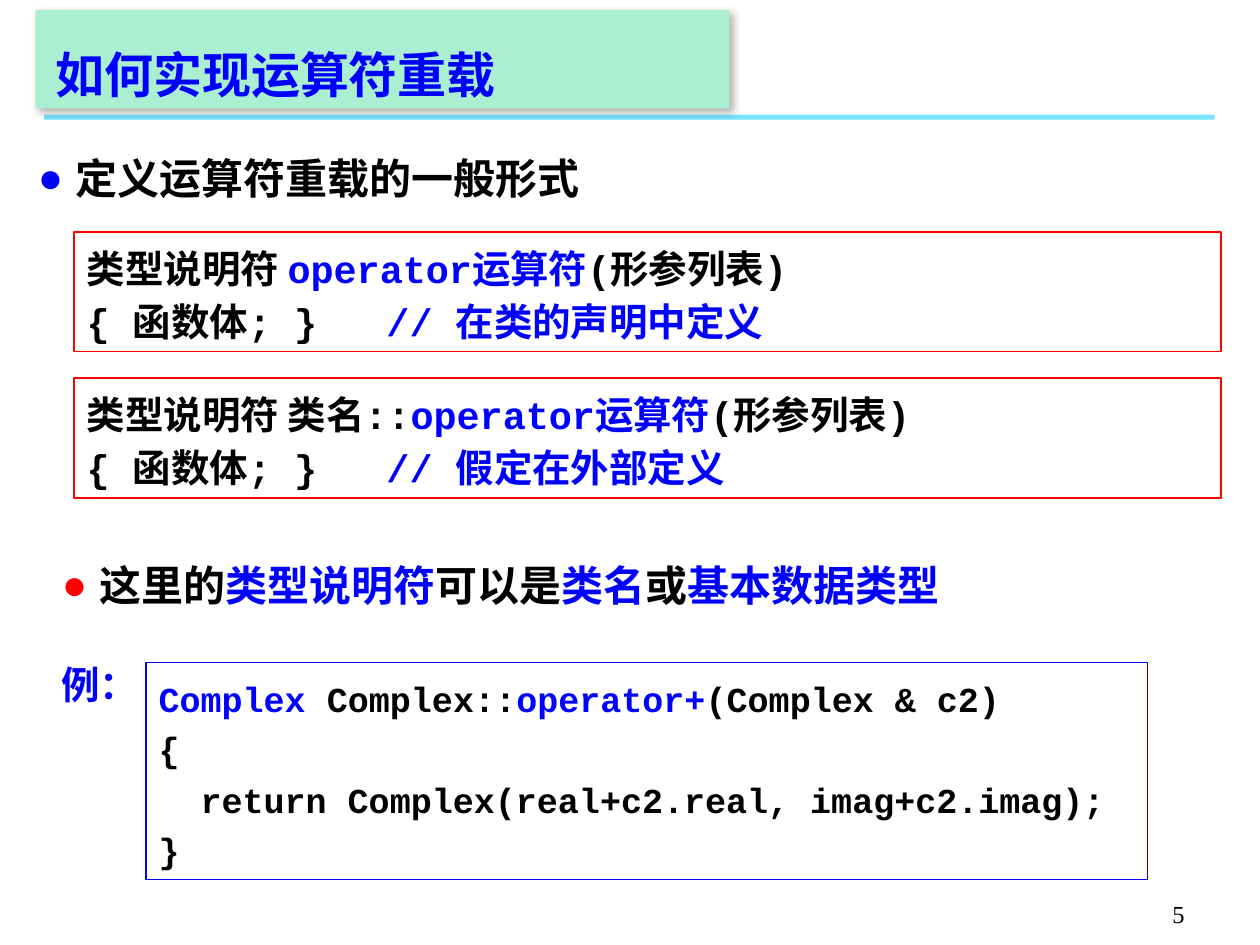
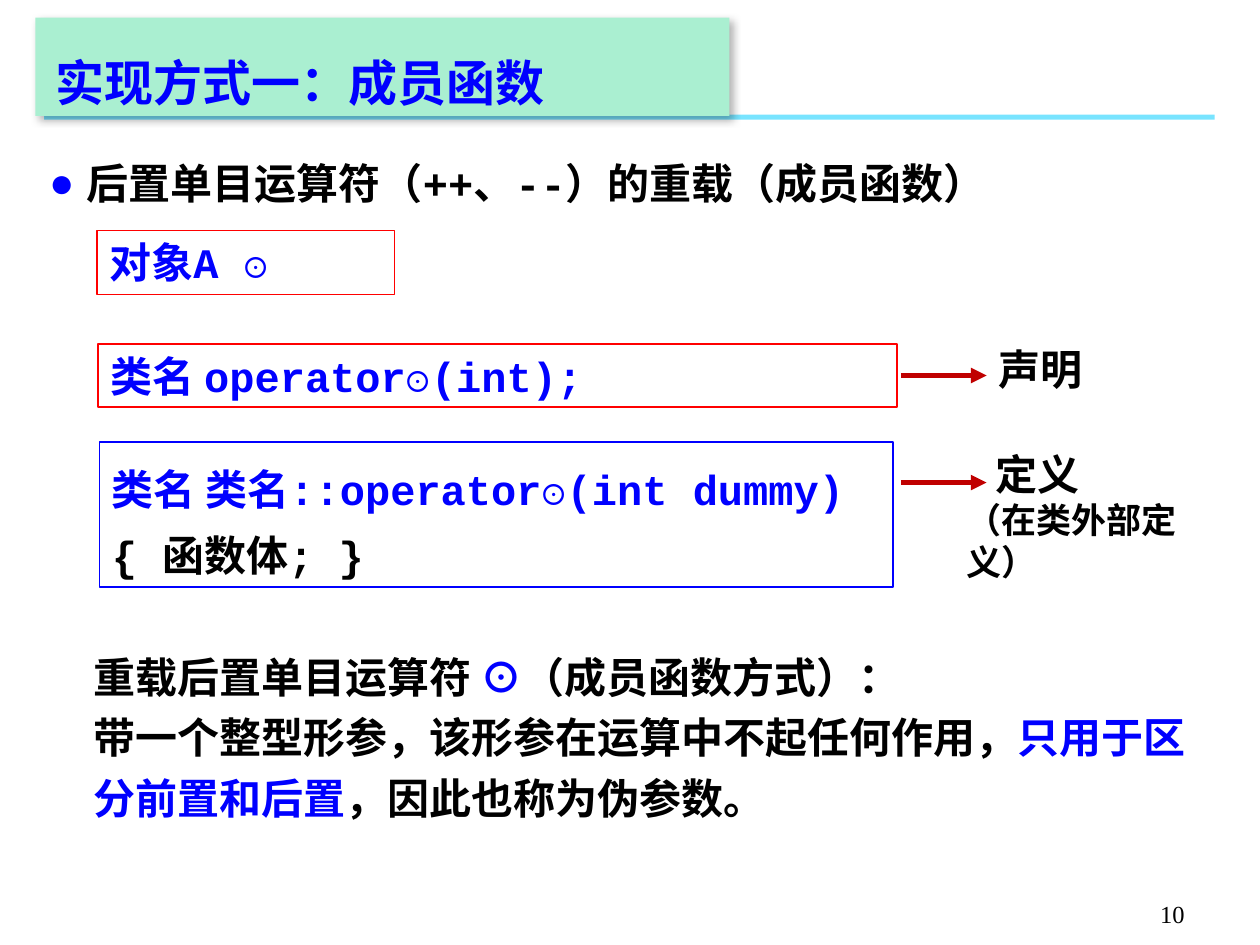
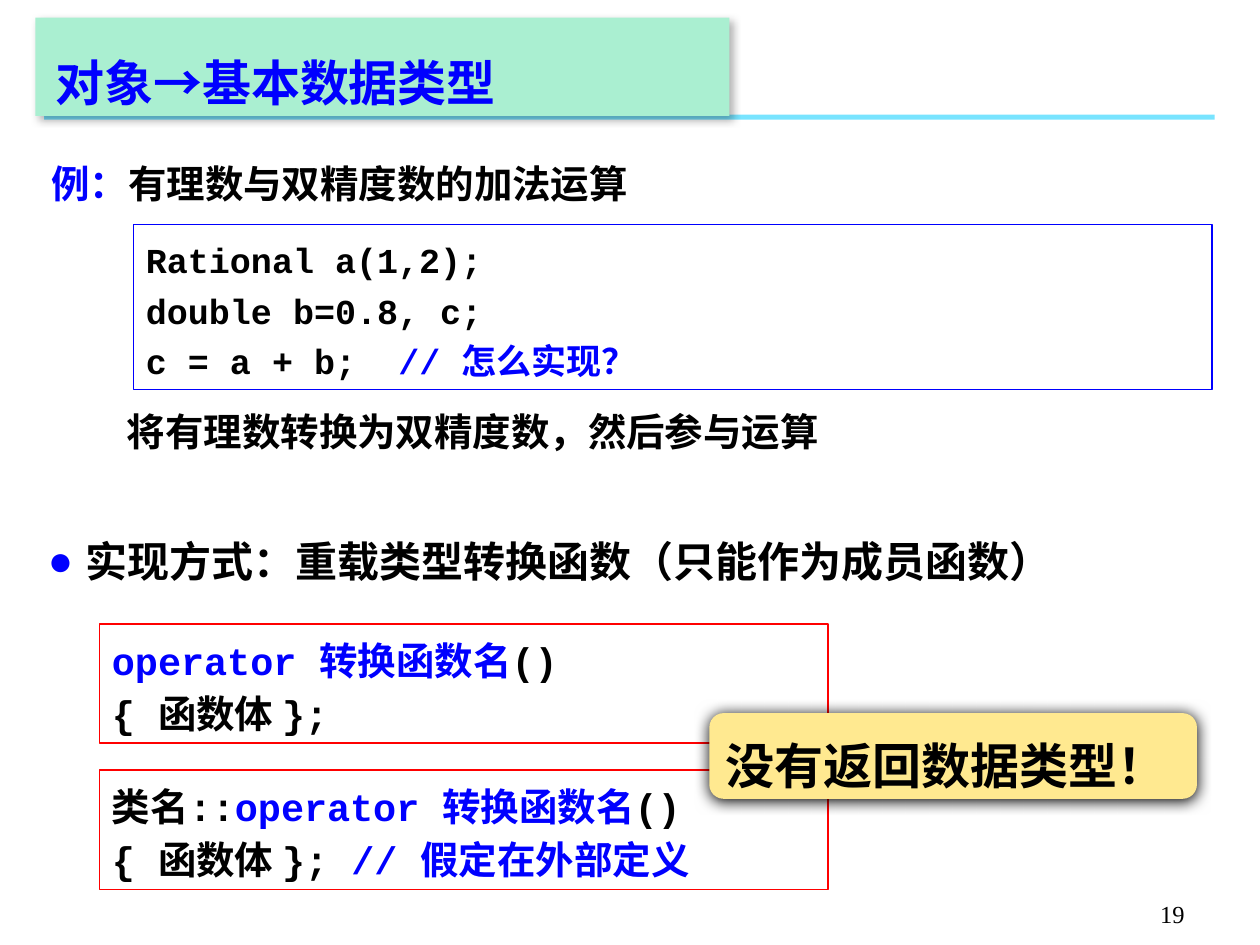
from dataclasses import dataclass
from typing import Optional

from lxml.etree import SubElement
from pptx import Presentation
from pptx.dml.color import RGBColor
from pptx.enum.shapes import MSO_CONNECTOR, MSO_SHAPE
from pptx.enum.text import MSO_ANCHOR, MSO_AUTO_SIZE, PP_ALIGN
from pptx.oxml.ns import qn
from pptx.util import Inches, Pt

COLORS = {
    "black": "000000",
    "blue": "0000FF",
    "red": "FF0000",
    "arrow": "C00000",
    "title_band": "AAEFD1",
    "rule": "00CCFF",
    "callout": "FFE990",
}
BODY_FONT = "Arial"
CODE_FONT = "Courier New"
CHINESE_FONT = "Noto Sans CJK SC"
NUMBER_FONT = "Times New Roman"


@dataclass(frozen=True)
class Area:
    """A rectangle on the slide, in inches."""
    left: float
    top: float
    width: float
    height: float


@dataclass(frozen=True)
class Shadow:
    """An outer shadow: percent, points, points, degrees."""
    opacity: int
    blur: float
    distance: float
    direction: int


@dataclass(frozen=True)
class Line:
    """A paragraph; text between | marks is blue, between ` marks is code."""
    markup: str
    size: int = 22
    font: str = CODE_FONT
    spacing: float = 1.0
    indent: float = 0


@dataclass(frozen=True)
class Panel:
    """Paragraphs in a rectangle, framed when it has a border colour."""
    area: Area
    lines: list[Line]
    border: Optional[str] = None
    border_width: float = 1


@dataclass(frozen=True)
class Bullet:
    """A bulleted heading."""
    area: Area
    markup: str
    color: str = "blue"
    spacing: float = 1.0


def rgb(name: str) -> RGBColor:
    """Return a palette colour."""
    return RGBColor.from_string(COLORS[name])


def place(shape, area: Area) -> None:
    """Move and size a shape."""
    shape.left, shape.top = Inches(area.left), Inches(area.top)
    shape.width, shape.height = Inches(area.width), Inches(area.height)


def add_alpha(fill, percent: int) -> None:
    """Make a solid fill partly transparent."""
    color = fill._xPr.find(qn("a:solidFill"))[0]
    SubElement(color, qn("a:alpha"), val=str(percent * 1000))


def add_shadow(shape, shadow: Shadow) -> None:
    """Give a shape an outer shadow."""
    shape.shadow.inherit = False
    effects = shape.element.spPr.find(qn("a:effectLst"))
    outer = SubElement(
        effects, qn("a:outerShdw"), blurRad=str(Pt(shadow.blur)),
        dist=str(Pt(shadow.distance)), dir=str(shadow.direction * 60000),
        algn="ctr", rotWithShape="0")
    color = SubElement(outer, qn("a:srgbClr"), val=COLORS["black"])
    SubElement(color, qn("a:alpha"), val=str(shadow.opacity * 1000))


def format_run(run, size: int, font: str, color: str, bold: bool = True) -> None:
    """Set the size, fonts, colour and weight of a run."""
    run.font.size, run.font.name, run.font.bold = Pt(size), font, bold
    run.font.color.rgb = rgb(color)
    SubElement(run._r.get_or_add_rPr(), qn("a:ea"), typeface=CHINESE_FONT)


def write_line(paragraph, line: Line) -> None:
    """Write one marked-up line as formatted runs."""
    paragraph.alignment = PP_ALIGN.LEFT
    paragraph.line_spacing = line.spacing
    paragraph.space_before = Pt(0)
    if line.indent:
        paragraph._p.get_or_add_pPr().set("indent", str(Inches(line.indent)))
    for part_index, part in enumerate(line.markup.split("|")):
        for piece_index, piece in enumerate(part.split("`")):
            if piece:
                run = paragraph.add_run()
                run.text = piece
                format_run(run, line.size,
                           CODE_FONT if piece_index % 2 else line.font,
                           "blue" if part_index % 2 else "black")


def write_lines(shape, lines: list[Line]) -> None:
    """Fill a shape with lines, from its top."""
    frame = shape.text_frame
    frame.word_wrap = True
    frame.auto_size = MSO_AUTO_SIZE.NONE
    frame.vertical_anchor = MSO_ANCHOR.TOP
    for index, line in enumerate(lines):
        paragraph = frame.add_paragraph() if index else frame.paragraphs[0]
        write_line(paragraph, line)


def add_panel(slide, panel: Panel) -> None:
    """Draw a framed or plain block of text."""
    area = panel.area
    if panel.border:
        shape = slide.shapes.add_shape(MSO_SHAPE.RECTANGLE, 0, 0, 0, 0)
        shape.shadow.inherit = False
        shape.fill.background()
        shape.line.color.rgb = rgb(panel.border)
        shape.line.width = Pt(panel.border_width)
    else:
        shape = slide.shapes.add_textbox(0, 0, 0, 0)
    place(shape, area)
    write_lines(shape, panel.lines)


def fill_bullet(placeholder, bullet: Bullet) -> None:
    """Turn a body placeholder into a bulleted heading."""
    place(placeholder, bullet.area)
    write_lines(placeholder, [Line(bullet.markup, 24, BODY_FONT, bullet.spacing)])
    properties = placeholder.text_frame.paragraphs[0]._p.get_or_add_pPr()
    hanging = Inches(0.3)
    properties.set("marL", str(hanging))
    properties.set("indent", str(-hanging))
    color = SubElement(properties, qn("a:buClr"))
    SubElement(color, qn("a:srgbClr"), val=COLORS[bullet.color])
    SubElement(properties, qn("a:buFont"), typeface=BODY_FONT)
    SubElement(properties, qn("a:buChar"), char="●")


def format_title(title, text: str, top: float) -> None:
    """Write the title on its green band."""
    place(title, Area(0.28, top, 5.51, 0.78))
    title.fill.solid()
    title.fill.fore_color.rgb = rgb("title_band")
    add_shadow(title, Shadow(30, 4.5, 2.6, 53))
    frame = title.text_frame
    frame.text = text
    frame.word_wrap = False
    frame.auto_size = MSO_AUTO_SIZE.NONE
    frame.vertical_anchor = MSO_ANCHOR.MIDDLE
    frame.margin_left, frame.margin_right = Inches(0.16), Inches(0.1)
    frame.margin_top = frame.margin_bottom = 0
    paragraph = frame.paragraphs[0]
    paragraph.alignment = PP_ALIGN.LEFT
    paragraph.line_spacing = 1.5
    format_run(paragraph.runs[0], 28, CHINESE_FONT, "blue")


def add_page_number(slide, number: int) -> None:
    """Write the page number at the bottom right."""
    shape = slide.shapes.add_textbox(0, 0, 0, 0)
    place(shape, Area(7.42, 6.92, 2.08, 0.5))
    frame = shape.text_frame
    frame.text = str(number)
    frame.word_wrap = True
    frame.vertical_anchor = MSO_ANCHOR.BOTTOM
    paragraph = frame.paragraphs[0]
    paragraph.alignment = PP_ALIGN.RIGHT
    format_run(paragraph.runs[0], 14, NUMBER_FONT, "black", bold=False)


def add_master_rule(presentation, slide) -> None:
    """Draw the rule under the titles and hand it to the slide master."""
    rule = slide.shapes.add_shape(MSO_SHAPE.RECTANGLE, 0, 0, 0, 0)
    place(rule, Area(0.35, 0.91, 9.29, 0.04))
    rule.shadow.inherit = False
    rule.line.fill.background()
    rule.fill.solid()
    rule.fill.fore_color.rgb = rgb("rule")
    add_alpha(rule.fill, 53)
    presentation.slide_master.shapes.element.append(rule.element)


def add_arrow(slide, top: float) -> None:
    """Draw an arrow from a code panel to its label."""
    arrow = slide.shapes.add_connector(
        MSO_CONNECTOR.STRAIGHT, Inches(7.15), Inches(top), Inches(7.83), Inches(top))
    arrow.line.color.rgb = rgb("arrow")
    arrow.line.width = Pt(3)
    SubElement(arrow.line._get_or_add_ln(), qn("a:tailEnd"), type="triangle")
    SubElement(arrow.element.spPr, qn("a:effectLst"))


def add_callout(slide, area: Area, line: Line) -> None:
    """Draw a yellow rounded note."""
    shape = slide.shapes.add_shape(MSO_SHAPE.ROUNDED_RECTANGLE, 0, 0, 0, 0)
    place(shape, area)
    shape.fill.solid()
    shape.fill.fore_color.rgb = rgb("callout")
    shape.line.fill.background()
    add_shadow(shape, Shadow(100, 8.5, 1, 90))
    write_lines(shape, [line])


def add_page(presentation, title: str, number: int, bullets: list[Bullet],
             panels: list[Panel], title_top: float = 0.14):
    """Add a slide with its title, bullets, panels and page number."""
    layout_name = "Two Content" if len(bullets) == 2 else "Title and Content"
    slide = presentation.slides.add_slide(
        presentation.slide_layouts.get_by_name(layout_name))
    format_title(slide.shapes.title, title, title_top)
    for index, bullet in enumerate(bullets, start=1):
        fill_bullet(slide.placeholders[index], bullet)
    for panel in panels:
        add_panel(slide, panel)
    add_page_number(slide, number)
    return slide


def code(*markups: str, size: int = 22, spacing: float = 1.15) -> list[Line]:
    """Return code lines with one size and spacing."""
    return [Line(markup, size, CODE_FONT, spacing) for markup in markups]


def main() -> None:
    """Build the three slides."""
    presentation = Presentation()
    presentation.slide_width, presentation.slide_height = Inches(10), Inches(7.5)

    general_form = add_page(
        presentation, "如何实现运算符重载", 5,
        [Bullet(Area(0.2, 1.16, 9.06, 0.5), "定义运算符重载的一般形式"),
         Bullet(Area(0.39, 4.31, 8.76, 0.59),
                "这里的|类型说明符|可以是|类名|或|基本数据类型|", "red", 1.2)],
        [Panel(Area(0.59, 1.84, 9.1, 0.95),
               code("类型说明符 |operator运算符|(形参列表)",
                    "{ 函数体; }   |// 在类的声明中定义|"), "red"),
         Panel(Area(0.59, 3, 9.1, 0.95),
               code("类型说明符 类名::|operator运算符|(形参列表)",
                    "{ 函数体; }   |// 假定在外部定义|"), "red"),
         Panel(Area(1.16, 5.26, 7.95, 1.72),
               code("|Complex| Complex::|operator+|(Complex & c2)", "{",
                    "  return Complex(real+c2.real, imag+c2.imag);", "}",
                    size=20, spacing=1.2), "blue", 0.75),
         Panel(Area(0.39, 5.2, 0.94, 0.47), [Line("|例：|")])],
        title_top=0.08)
    add_master_rule(presentation, general_form)

    member_function = add_page(
        presentation, "实现方式一：成员函数", 10,
        [Bullet(Area(0.29, 1.2, 9.53, 0.5),
                "后置单目运算符（`++、--`）的重载（成员函数）")],
        [Panel(Area(0.77, 1.83, 2.36, 0.51), [Line("|对象A ⊙|", 24)], "red", 0.75),
         Panel(Area(0.78, 2.73, 6.34, 0.5),
               [Line("|类名 operator⊙(int);|", 24)], "red"),
         Panel(Area(0.79, 3.51, 6.3, 1.15),
               code("|类名 类名::operator⊙(int dummy)|", "{ 函数体; }",
                    size=24, spacing=1.3), "blue"),
         Panel(Area(7.83, 2.68, 1, 0.5), [Line("声明", 24, BODY_FONT)]),
         Panel(Area(7.57, 3.51, 2.29, 0.84),
               [Line("定义", 24, BODY_FONT, indent=0.23),
                Line("（在类外部定义）", 20, BODY_FONT)]),
         Panel(Area(0.64, 5.04, 9.18, 1.56),
               [Line("重载后置单目运算符 |`⊙`|（成员函数方式）：", 24, BODY_FONT, 1.2),
                Line("带一个整型形参，该形参在运算中不起任何作用，"
                     "|只用于区分前置和后置|，因此也称为伪参数。", 24, BODY_FONT, 1.2)])])
    for top in (2.98, 3.83):
        add_arrow(member_function, top)

    conversion = add_page(
        presentation, "对象→基本数据类型", 19,
        [Bullet(Area(0.28, 4.2, 9.06, 0.5),
                "实现方式：重载类型转换函数（只能作为成员函数）")],
        [Panel(Area(0.31, 1.22, 7.45, 0.47),
               [Line("|例：|有理数与双精度数的加法运算")]),
         Panel(Area(1.06, 1.78, 8.56, 1.31),
               code("Rational a(1,2);", "double b=0.8, c;",
                    "c = a + b;  |// 怎么实现？|", size=20, spacing=1.2),
               "blue", 0.75),
         Panel(Area(0.91, 3.19, 6, 0.47),
               [Line("将有理数转换为双精度数，然后参与运算")]),
         Panel(Area(0.79, 4.95, 5.78, 0.95),
               code("|operator 转换函数名|()", "{ 函数体 };"), "red"),
         Panel(Area(0.79, 6.11, 5.78, 0.95),
               code("类名::|operator 转换函数名|()",
                    "{ 函数体 }; |// 假定在外部定义|"), "red")])
    add_callout(conversion, Area(5.63, 5.66, 3.87, 0.68),
                Line("没有返回数据类型！", 28, BODY_FONT, 1.2))

    presentation.save("out.pptx")


main()
